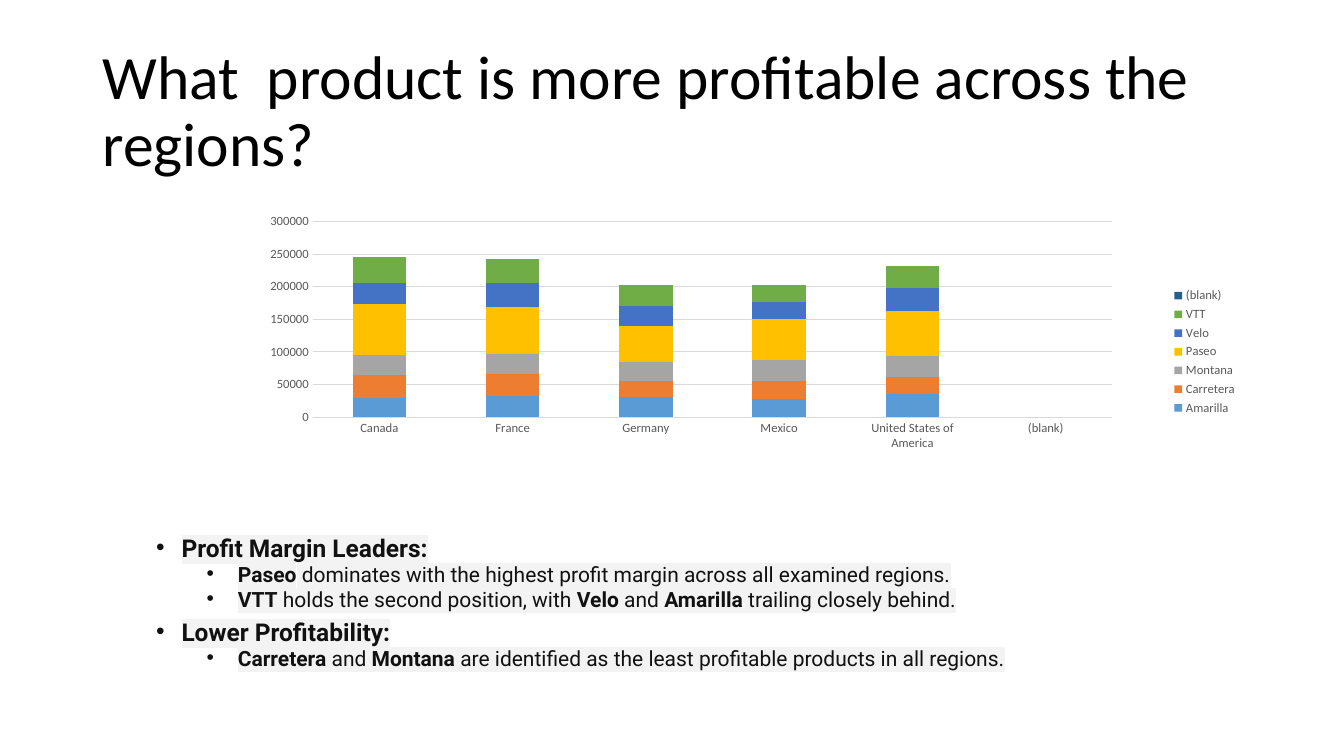
from dataclasses import dataclass
from typing import Optional

from lxml.etree import SubElement
from pptx import Presentation
from pptx.chart.chart import Chart
from pptx.chart.data import CategoryChartData
from pptx.dml.color import RGBColor
from pptx.enum.chart import XL_CHART_TYPE, XL_LEGEND_POSITION, XL_TICK_MARK
from pptx.enum.text import MSO_ANCHOR, MSO_AUTO_SIZE, PP_ALIGN
from pptx.oxml import parse_xml
from pptx.oxml.ns import nsdecls, qn
from pptx.shapes.autoshape import Shape
from pptx.util import Cm, Pt


@dataclass(frozen=True)
class Theme:
    heading_font: str = "Calibri"
    body_font: str = "Roboto"
    title_color: str = "000000"
    body_color: str = "111111"
    highlight: str = "F3F3F3"
    label_color: str = "595959"
    grid_color: str = "D9D9D9"
    title_size: float = 44
    topic_size: float = 17.5
    detail_size: float = 15
    label_size: float = 9
    grid_width: float = 0.75


@dataclass(frozen=True)
class Frame:
    left: float
    top: float
    width: float
    height: float

    def lengths(self) -> tuple[Cm, Cm, Cm, Cm]:
        return Cm(self.left), Cm(self.top), Cm(self.width), Cm(self.height)


@dataclass(frozen=True)
class Product:
    name: str
    color: str
    profits: tuple[Optional[int], ...]


@dataclass(frozen=True)
class Level:
    size: float
    margin: float
    hanging: float
    space_before: float


@dataclass(frozen=True)
class Bullet:
    level: int
    spans: tuple[str, ...]  # bold and regular text in turn, bold first


THEME = Theme()
TITLE_FRAME = Frame(2.33, 1.01, 29.21, 3.68)
CHART_FRAME = Frame(2.33, 4.7, 29.21, 8.81)
BODY_FRAME = Frame(3.68, 13.51, 28.75, 3.68)
TITLE = "What  product is more profitable across the regions?"
COUNTRIES = ("Canada", "France", "Germany", "Mexico", "United States of America", "(blank)")
PRODUCTS = (
    Product("Amarilla", "5B9BD5", (29000, 32000, 31000, 28000, 35000, None)),
    Product("Carretera", "ED7D31", (35000, 34000, 25000, 27000, 26000, None)),
    Product("Montana", "A5A5A5", (31000, 31000, 28000, 32000, 32000, None)),
    Product("Paseo", "FFC000", (78000, 72000, 56000, 63000, 69000, None)),
    Product("Velo", "4472C4", (32000, 37000, 31000, 27000, 36000, None)),
    Product("VTT", "70AD47", (41000, 36000, 31000, 26000, 34000, None)),
    Product("(blank)", "255E91", (None,) * len(COUNTRIES)),
)
LEVELS = (
    Level(THEME.topic_size, 0.64, 0.64, 10),
    Level(THEME.detail_size, 2.06, 0.79, 5),
)
BULLETS = (
    Bullet(0, ("Profit Margin Leaders:",)),
    Bullet(1, ("Paseo", " dominates with the highest profit margin across all examined regions.")),
    Bullet(1, ("VTT", " holds the second position, with ", "Velo", " and ", "Amarilla",
               " trailing closely behind.")),
    Bullet(0, ("Lower Profitability:",)),
    Bullet(1, ("Carretera", " and ", "Montana",
               " are identified as the least profitable products in all regions.")),
)


def set_font(font, name: str, size: float, color: str) -> None:
    font.name = name
    font.size = Pt(size)
    font.color.rgb = RGBColor.from_string(color)


def place(box: Shape, frame: Frame, anchor: MSO_ANCHOR) -> None:
    box.left, box.top, box.width, box.height = frame.lengths()
    box.text_frame.word_wrap = True
    box.text_frame.auto_size = MSO_AUTO_SIZE.NONE
    box.text_frame.vertical_anchor = anchor


def fill_title(box: Shape) -> None:
    place(box, TITLE_FRAME, MSO_ANCHOR.MIDDLE)
    para = box.text_frame.paragraphs[0]
    para.text = TITLE
    para.alignment = PP_ALIGN.LEFT
    para.line_spacing = 0.9
    set_font(para.font, THEME.heading_font, THEME.title_size, THEME.title_color)


def set_layout(parent, **fractions: float) -> None:
    """Position a chart part by fractions of the chart area."""
    for old in parent.findall(qn("c:layout")):
        parent.remove(old)
    layout = parse_xml(f"<c:layout {nsdecls('c')}><c:manualLayout/></c:layout>")
    manual = layout[0]
    if "w" in fractions:
        SubElement(manual, qn("c:layoutTarget")).set("val", "inner")
    for side in ("x", "y"):
        SubElement(manual, qn(f"c:{side}Mode")).set("val", "edge")
    for key, value in fractions.items():
        SubElement(manual, qn(f"c:{key}")).set("val", str(value))
    position = parent.find(qn("c:legendPos"))
    parent.insert(0 if position is None else 1, layout)


def style_axes(chart: Chart) -> None:
    for axis in (chart.category_axis, chart.value_axis):
        axis.major_tick_mark = axis.minor_tick_mark = XL_TICK_MARK.NONE
        set_font(axis.tick_labels.font, THEME.heading_font, THEME.label_size, THEME.label_color)
    values = chart.value_axis
    values.has_major_gridlines = True
    values.format.line.fill.background()
    for line in (chart.category_axis.format.line, values.major_gridlines.format.line):
        line.color.rgb = RGBColor.from_string(THEME.grid_color)
        line.width = Pt(THEME.grid_width)


def add_profit_chart(page) -> None:
    data = CategoryChartData()
    data.categories = COUNTRIES
    for product in PRODUCTS:
        data.add_series(product.name, product.profits)
    chart = page.shapes.add_chart(
        XL_CHART_TYPE.COLUMN_STACKED, *CHART_FRAME.lengths(), data).chart
    chart.has_title = False
    set_font(chart.font, THEME.heading_font, 10, THEME.title_color)
    style_axes(chart)

    plot = chart.plots[0]
    plot.gap_width, plot.overlap = 150, 100
    plot.vary_by_categories = False
    for series, product in zip(plot.series, PRODUCTS):
        series.format.fill.solid()
        series.format.fill.fore_color.rgb = RGBColor.from_string(product.color)
    set_layout(chart.element.find(f".//{qn('c:plotArea')}"), x=0.19, y=0.1, w=0.69, h=0.56)

    chart.has_legend = True
    legend = chart.legend
    legend.position = XL_LEGEND_POSITION.RIGHT
    legend.include_in_layout = False
    set_font(legend.font, THEME.heading_font, THEME.label_size, THEME.label_color)
    set_layout(chart.element.find(f".//{qn('c:legend')}"), x=0.93, y=0.28)


def add_bullet(para, bullet: Bullet) -> None:
    level = LEVELS[bullet.level]
    para.level = bullet.level
    para.line_spacing = 0.7
    para.space_before = Pt(level.space_before)
    para.space_after = Pt(0)
    properties = para._p.get_or_add_pPr()
    properties.set("marL", str(Cm(level.margin)))
    properties.set("indent", str(-Cm(level.hanging)))
    SubElement(properties, qn("a:buFont")).set("typeface", "Arial")
    SubElement(properties, qn("a:buChar")).set("char", "•")
    set_font(para.font, THEME.body_font, level.size, THEME.body_color)
    for index, text in enumerate(bullet.spans):
        span = para.add_run()
        span.text = text
        span.font.bold = index % 2 == 0
        highlight = SubElement(span.font._element, qn("a:highlight"))
        SubElement(highlight, qn("a:srgbClr")).set("val", THEME.highlight)


def fill_body(box: Shape) -> None:
    place(box, BODY_FRAME, MSO_ANCHOR.TOP)
    frame = box.text_frame
    for index, bullet in enumerate(BULLETS):
        add_bullet(frame.add_paragraph() if index else frame.paragraphs[0], bullet)


def main() -> None:
    deck = Presentation()
    deck.slide_width, deck.slide_height = Cm(33.87), Cm(19.05)
    page = deck.slides.add_slide(deck.slide_layouts[1])
    fill_title(page.shapes.title)
    add_profit_chart(page)
    fill_body(page.placeholders[1])
    deck.save("out.pptx")


if __name__ == "__main__":
    main()
